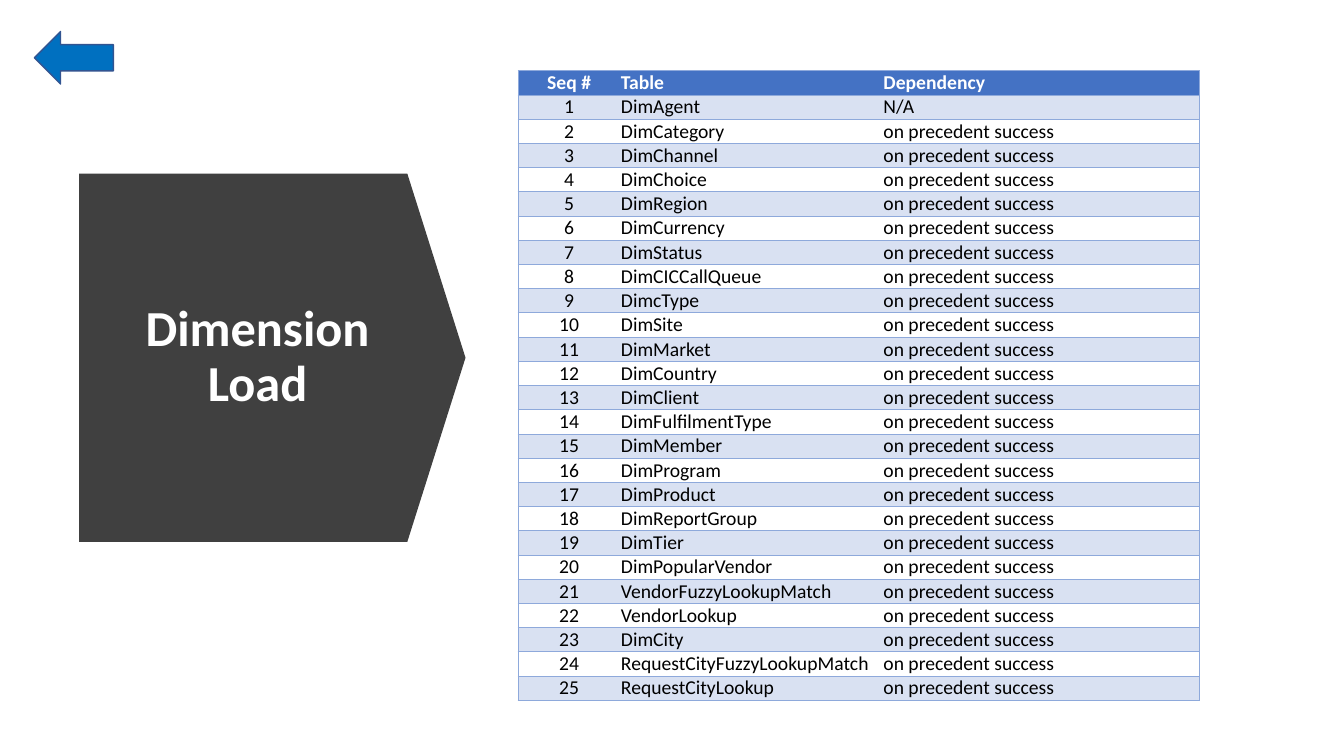
from dataclasses import dataclass

from lxml import etree
from pptx import Presentation
from pptx.dml.color import RGBColor as Rgb
from pptx.enum import shapes, text
from pptx.oxml import ns
from pptx.util import Pt


@dataclass(frozen=True)
class Theme:
    """Colours, font and type sizes of the slide."""
    font: str = "Calibri"
    title: int = 36
    body: int = 14
    white: str = "FFFFFF"
    black: str = "000000"
    dark: str = "404040"
    head: str = "4472C4"
    band: str = "D9E1F2"
    rule: str = "8EA9DB"
    back: str = "0070C0"
    edge: str = "325491"


THEME = Theme()
NAMES = """DimAgent DimCategory DimChannel DimChoice DimRegion DimCurrency
DimStatus DimCICCallQueue DimcType DimSite DimMarket DimCountry DimClient
DimFulfilmentType DimMember DimProgram DimProduct DimReportGroup DimTier
DimPopularVendor VendorFuzzyLookupMatch VendorLookup DimCity
RequestCityFuzzyLookupMatch RequestCityLookup""".split()


def style(para, size, color, bold, align):
    """Set the font and alignment of a paragraph."""
    para.alignment = align
    font = para.font
    font.name, font.size, font.bold = THEME.font, Pt(size), bold
    font.color.rgb = Rgb.from_string(color)


def arrow(slide, kind, box, fill):
    """Add a filled arrow without shadow or outline."""
    shape = slide.shapes.add_shape(kind, *map(Pt, box))
    shape.shadow.inherit = False
    shape.fill.solid()
    shape.fill.fore_color.rgb = Rgb.from_string(fill)
    shape.line.fill.background()
    return shape


def banner(slide, box):
    """Add the dark pointer and its title inside the box."""
    x, y, wide, high = box
    turned = (x + (wide - high) / 2, y + (high - wide) / 2, high, wide)
    point = arrow(slide, shapes.MSO_SHAPE.DOWN_ARROW, turned, THEME.dark)
    point.rotation = 270
    point.adjustments[0] = 1
    point.adjustments[1] = 0.158
    label = slide.shapes.add_textbox(
        Pt(x + 24), Pt(y + 31), Pt(wide - 69), Pt(high - 62))
    frame = label.text_frame
    frame.word_wrap = True
    frame.vertical_anchor = text.MSO_ANCHOR.MIDDLE
    para = frame.paragraphs[0]
    para.text = "Dimension Load"
    para.line_spacing = 0.9
    para.space_after = Pt(6)
    style(para, THEME.title, THEME.white, True, text.PP_ALIGN.CENTER)


def border(cell, sides):
    """Draw the named sides of a cell and clear the others."""
    props = cell._tc.get_or_add_tcPr()
    for side in "LRTB":
        line = etree.SubElement(props, ns.qn(f"a:ln{side}"), w=str(Pt(0.5)))
        if side in sides:
            fill = etree.SubElement(line, ns.qn("a:solidFill"))
            etree.SubElement(fill, ns.qn("a:srgbClr"), val=THEME.rule)
        else:
            etree.SubElement(line, ns.qn("a:noFill"))


def fill_cell(cell, words, row, col):
    """Write one table cell and style it by its row and column."""
    border(cell, ("LTB", "TB", "RTB")[col])
    color = THEME.head if row == 0 else THEME.band if row % 2 else None
    if color:
        cell.fill.solid()
        cell.fill.fore_color.rgb = Rgb.from_string(color)
    else:
        cell.fill.background()
    cell.margin_left = cell.margin_right = Pt(0.5)
    cell.margin_top, cell.margin_bottom = Pt(0.2), 0
    cell.vertical_anchor = text.MSO_ANCHOR.BOTTOM
    para = cell.text_frame.paragraphs[0]
    para.text = words
    align = text.PP_ALIGN.LEFT if col else text.PP_ALIGN.CENTER
    ink = THEME.black if row else THEME.white
    style(para, THEME.body, ink, row == 0, align)


def load_table(slide, box):
    """Add the load sequence table, with equal rows filling the box."""
    rows = [("Seq #", "Table", "Dependency")]
    for num, name in enumerate(NAMES, 1):
        need = "N/A" if num == 1 else "on precedent success"
        rows.append((str(num), name, need))
    wide, high = box[2:]
    grid = slide.shapes.add_table(len(rows), 3, *map(Pt, box)).table
    grid.horz_banding = False
    for col, share in zip(grid.columns, (0.15, 0.385, 0.465)):
        col.width = Pt(wide * share)
    for r, row in enumerate(rows):
        grid.rows[r].height = Pt(high / len(rows))
        for c, words in enumerate(row):
            fill_cell(grid.cell(r, c), words, r, c)


def back_arrow(slide, box):
    """Add the outlined arrow that points back."""
    shape = arrow(slide, shapes.MSO_SHAPE.LEFT_ARROW, box, THEME.back)
    shape.line.color.rgb = Rgb.from_string(THEME.edge)
    shape.line.width = Pt(1)


def main():
    """Build and save the slide."""
    deck = Presentation()
    deck.slide_width, deck.slide_height = Pt(960), Pt(540)
    slide = deck.slides.add_slide(deck.slide_layouts[6])
    banner(slide, (56.5, 124, 276, 263))
    load_table(slide, (370, 50.5, 487, 450))
    back_arrow(slide, (24.5, 22.5, 56.5, 37.5))
    deck.save("out.pptx")


if __name__ == "__main__":
    main()
